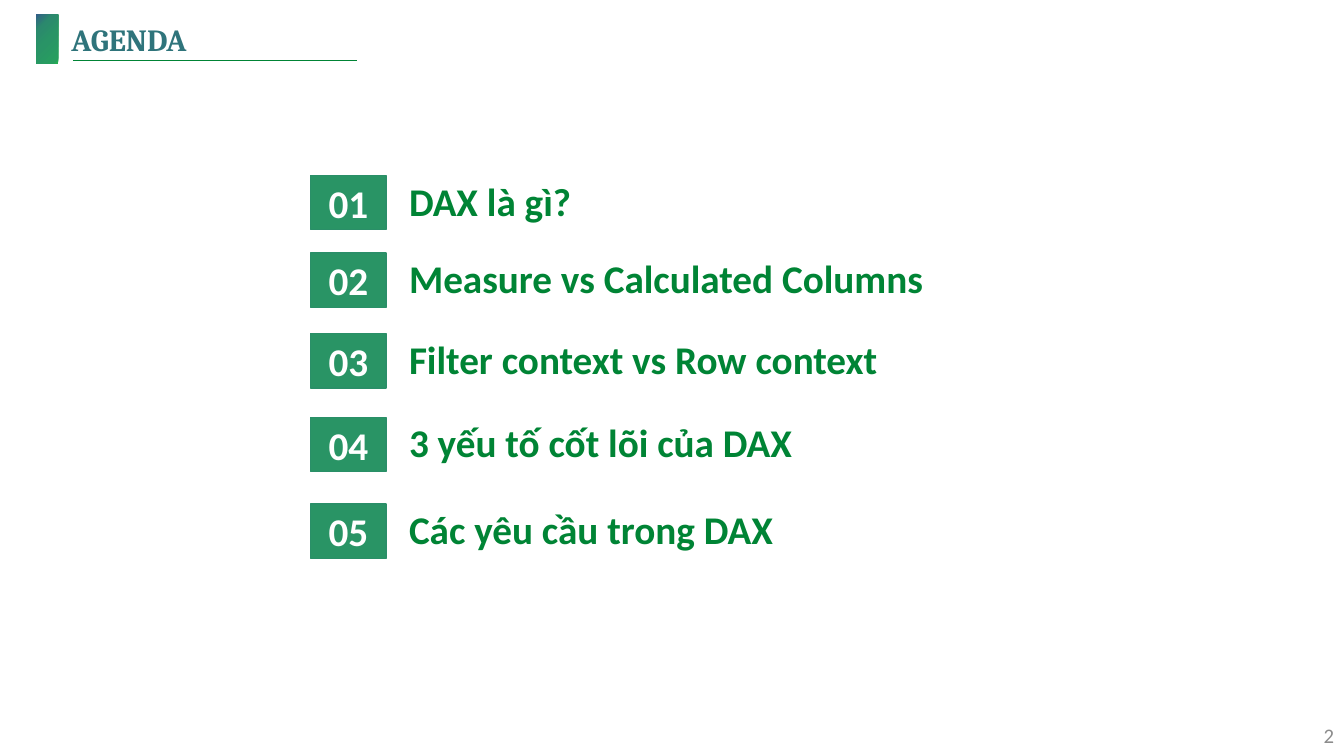
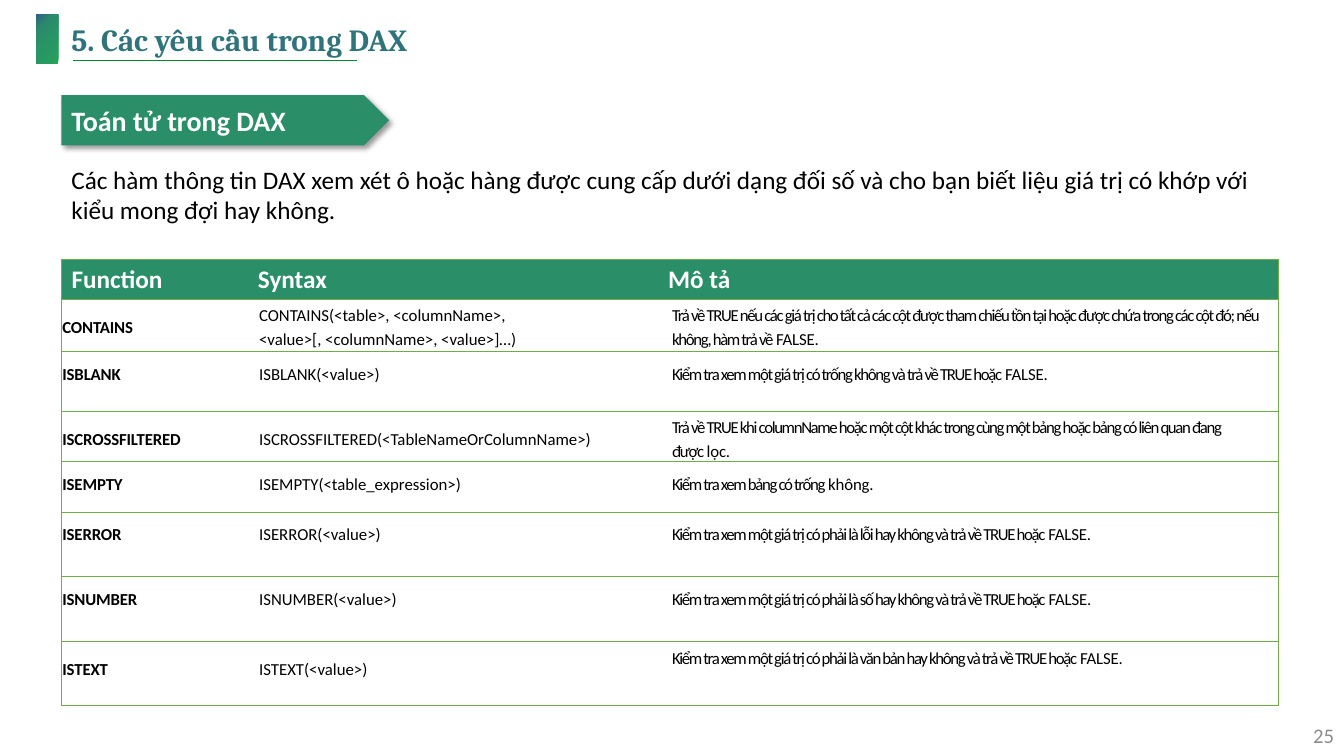
"""Build the agenda slide and the DAX information functions slide."""
from typing import NamedTuple

from pptx import Presentation
from pptx.dml.color import RGBColor
from pptx.enum.shapes import MSO_CONNECTOR, MSO_SHAPE
from pptx.enum.text import MSO_ANCHOR, PP_ALIGN
from pptx.oxml import parse_xml
from pptx.oxml.ns import nsdecls, qn
from pptx.util import Pt

GREEN = RGBColor(0x00, 0x84, 0x35)
TEAL = RGBColor(0x2A, 0x8F, 0x68)
BADGE = RGBColor(0x29, 0x94, 0x65)
BORDER = RGBColor(0x70, 0xAD, 0x47)
GRAY = RGBColor(0x8C, 0x8C, 0x8C)
BLACK = RGBColor(0x00, 0x00, 0x00)
WHITE = RGBColor(0xFF, 0xFF, 0xFF)

BAND_STOPS = [(0, "325E89"), (11, "2F747B"), (23, "2B896D"),
              (53, "299466"), (92, "279E5F"), (99, "23B350")]
TITLE_STOPS = [(0, "325E89"), (12, "2F747B"), (50, "299466"),
               (82, "279E5F"), (100, "23B350")]
CORNER_SHADE = '<a:path path="circle"><a:fillToRect r="100000" b="100000"/></a:path>'
LINEAR_SHADE = '<a:lin ang="0" scaled="0"/>'

TITLE = {"name": "Cambria", "size": Pt(22), "bold": True}
PAGE_NUMBER = {"name": "Calibri", "size": Pt(14.8), "color": GRAY}
BADGE_TEXT = {"name": "Calibri", "size": Pt(28), "bold": True, "color": WHITE}
AGENDA_TEXT = BADGE_TEXT | {"color": GREEN}
BANNER_TEXT = BADGE_TEXT | {"size": Pt(20)}
HEADER_TEXT = BADGE_TEXT | {"size": Pt(18)}
BODY_TEXT = {"name": "Calibri", "size": Pt(18), "color": BLACK}
CELL_TEXT = BODY_TEXT | {"size": Pt(12)}
NAME_TEXT = CELL_TEXT | {"bold": True}

AGENDA = [(125.3, "DAX là gì?"),
          (180.7, "Measure vs Calculated Columns"),
          (238.3, "Filter context vs Row context"),
          (298.1, "3 yếu tố cốt lõi của DAX"),
          (360, "Các yêu cầu trong DAX")]

INTRODUCTION = ("Các hàm thông tin DAX xem xét ô hoặc hàng được cung cấp dưới dạng đối số "
                "và cho bạn biết liệu giá trị có khớp với kiểu mong đợi hay không.")


class FunctionRow(NamedTuple):
    """Hold one function with its row height and cell insets in points."""
    height: float
    name: str
    syntax: str
    description: str
    insets: tuple = (9.2, 9.2, 9.2)
    right_inset: float = 0
    line_spacing: float = 1.0


HEADERS = ("Function", "Syntax", "Mô tả")
HEADER_HEIGHT = 25.2
COLUMN_WIDTHS = (133.2, 293, 442.8)
LEFT_INSETS = (0.7, 8, 10)
FUNCTIONS = [
    FunctionRow(37.4, "CONTAINS",
                "CONTAINS(<table>, <columnName>,\n<value>[, <columnName>, <value>]…)",
                "Trả về TRUE nếu các giá trị cho tất cả các cột được tham chiếu tồn tại hoặc "
                "được chứa trong các cột đó; nếu không, hàm trả về FALSE.",
                (13, 4.3, 1.4), 10, 1.2),
    FunctionRow(42.5, "ISBLANK", "ISBLANK(<value>)",
                "Kiểm tra xem một giá trị có trống không và trả về TRUE hoặc FALSE."),
    FunctionRow(31.7, "ISCROSSFILTERED", "ISCROSSFILTERED(<TableNameOrColumnName>)",
                "Trả về TRUE khi columnName hoặc một cột khác trong cùng một bảng hoặc bảng "
                "có liên quan đang được lọc.",
                (13, 13, 1.4), 40, 1.2),
    FunctionRow(36, "ISEMPTY", "ISEMPTY(<table_expression>)",
                "Kiểm tra xem bảng có trống không."),
    FunctionRow(46.1, "ISERROR", "ISERROR(<value>)",
                "Kiểm tra xem một giá trị có phải là lỗi hay không và trả về TRUE hoặc FALSE."),
    FunctionRow(46.1, "ISNUMBER", "ISNUMBER(<value>)",
                "Kiểm tra xem một giá trị có phải là số hay không và trả về TRUE hoặc FALSE."),
    FunctionRow(46.1, "ISTEXT", "ISTEXT(<value>)",
                "Kiểm tra xem một giá trị có phải là văn bản hay không và trả về TRUE hoặc FALSE.",
                (13, 13, 2.2), 0, 1.2),
]


def add_span(para, text, style, spacing=0):
    """Append a formatted run, with letter spacing in points."""
    span = para.add_run()
    span.text = text
    for key, value in style.items():
        if key == "color":
            span.font.color.rgb = value
        else:
            setattr(span.font, key, value)
    if spacing:
        span._r.get_or_add_rPr().set("spc", str(round(spacing * 100)))
    return span


def paint_gradient(fill, properties, stops, shade):
    """Fill with gradient stops and the given shade element."""
    fill.gradient()
    marks = "".join(f'<a:gs pos="{position * 1000}"><a:srgbClr val="{color}"/></a:gs>'
                    for position, color in stops)
    gradient = parse_xml(f'<a:gradFill {nsdecls("a")}><a:gsLst>{marks}</a:gsLst>'
                         f'{shade}</a:gradFill>')
    properties.replace(properties.find(qn("a:gradFill")), gradient)


def add_label(page, bounds, text, style, wrap=True, anchor=MSO_ANCHOR.TOP,
              align=PP_ALIGN.LEFT):
    """Add a one-paragraph text box and return its run and paragraph."""
    frame = page.shapes.add_textbox(*map(Pt, bounds)).text_frame
    frame.word_wrap = wrap
    frame.vertical_anchor = anchor
    para = frame.paragraphs[0]
    para.alignment = align
    return add_span(para, text, style), para


def add_block(page, kind, bounds, color=None, text="", style=None, align=PP_ALIGN.CENTER):
    """Add a flat preset shape without a line, with optional text."""
    block = page.shapes.add_shape(kind, *map(Pt, bounds))
    block.shadow.inherit = False
    block.line.fill.background()
    if color is not None:
        block.fill.solid()
        block.fill.fore_color.rgb = color
    if text:
        block.text_frame.vertical_anchor = MSO_ANCHOR.MIDDLE
        para = block.text_frame.paragraphs[0]
        para.alignment = align
        add_span(para, text, style)
    return block


def add_page(deck, title, number):
    """Add a blank slide with the shared rule, band, title and page number."""
    page = deck.slides.add_slide(deck.slide_layouts[6])
    rule = page.shapes.add_connector(MSO_CONNECTOR.STRAIGHT, Pt(52), Pt(43.2), Pt(255), Pt(43.2))
    rule.line.color.rgb = GREEN
    rule.line.width = Pt(1)
    rule._element.spPr.append(parse_xml(f'<a:effectLst {nsdecls("a")}/>'))
    band = add_block(page, MSO_SHAPE.RECTANGLE, (26, 10.4, 15.5, 35))
    paint_gradient(band.fill, band._element.spPr, BAND_STOPS, CORNER_SHADE)
    add_label(page, (744, 511, 216, 28.8), str(number), PAGE_NUMBER,
              anchor=MSO_ANCHOR.MIDDLE, align=PP_ALIGN.RIGHT)
    span, para = add_label(page, (43.9, 5, 805.7, 49.7), title, TITLE, anchor=MSO_ANCHOR.MIDDLE)
    para.line_spacing = 0.9
    paint_gradient(span.font.fill, span._r.get_or_add_rPr(), TITLE_STOPS, LINEAR_SHADE)
    return page


def add_agenda_item(page, top, number, text):
    """Add a numbered badge and its topic."""
    badge = add_block(page, MSO_SHAPE.RECTANGLE, (221.8, top, 54, 38.9), BADGE,
                      f"{number:02}", BADGE_TEXT)
    badge.line.color.rgb = TEAL
    badge.line.width = Pt(1)
    add_label(page, (285.1, top - 2.5, 390, 41), text, AGENDA_TEXT, wrap=False)


def add_banner(page, text):
    """Add the section arrow with a soft shadow."""
    banner = add_block(page, MSO_SHAPE.PENTAGON, (43.9, 67.9, 234, 36), TEAL,
                       text, BANNER_TEXT, PP_ALIGN.LEFT)
    banner._element.spPr.find(qn("a:effectLst")).append(parse_xml(
        f'<a:outerShdw {nsdecls("a")} blurRad="{Pt(4)}" dist="{Pt(3)}" dir="2700000" '
        'algn="tl" rotWithShape="0"><a:srgbClr val="000000"><a:alpha val="40000"/>'
        '</a:srgbClr></a:outerShdw>'))


def set_borders(cell, column):
    """Draw horizontal rules and the outer sides of the table."""
    shown = {"L": column == 0, "R": column == len(HEADERS) - 1, "T": True, "B": True}
    line_fill = f'<a:solidFill><a:srgbClr val="{BORDER}"/></a:solidFill>'
    properties = cell._tc.get_or_add_tcPr()
    for index, (side, visible) in enumerate(shown.items()):
        properties.insert(index, parse_xml(
            f'<a:ln{side} {nsdecls("a")} w="{Pt(0.5)}">'
            f'{line_fill if visible else "<a:noFill/>"}</a:ln{side}>'))


def fill_cell(cell, column, row):
    """Write one body cell of a function row."""
    cell.fill.background()
    margins = {"margin_left": LEFT_INSETS[column], "margin_top": row.insets[column],
               "margin_right": row.right_inset if column == 2 else 0, "margin_bottom": 0}
    for key, value in margins.items():
        setattr(cell, key, Pt(value))
    para = cell.text_frame.paragraphs[0]
    if column == 0:
        add_span(para, row.name, NAME_TEXT, -0.1)
    elif column == 1:
        first, *others = row.syntax.split("\n")
        add_span(para, first, CELL_TEXT)
        for line in others:
            para = cell.text_frame.add_paragraph()
            para.space_before = Pt(2.9)
            add_span(para, line, CELL_TEXT)
    else:
        para.line_spacing = row.line_spacing
        opening, _, last_word = row.description.rpartition(" ")
        add_span(para, opening + " ", CELL_TEXT, -0.95)
        add_span(para, last_word, CELL_TEXT, -0.1)


def add_function_table(page):
    """Add the table of functions, syntax and descriptions."""
    heights = [HEADER_HEIGHT] + [row.height for row in FUNCTIONS]
    bounds = (43.9, 185, sum(COLUMN_WIDTHS), sum(heights))
    table = page.shapes.add_table(len(heights), len(HEADERS), *map(Pt, bounds)).table
    for column, width in zip(table.columns, COLUMN_WIDTHS):
        column.width = Pt(width)
    for line, height in zip(table.rows, heights):
        line.height = Pt(height)
    for column, header in enumerate(HEADERS):
        cell = table.cell(0, column)
        cell.fill.solid()
        cell.fill.fore_color.rgb = TEAL
        add_span(cell.text_frame.paragraphs[0], header, HEADER_TEXT)
        set_borders(cell, column)
        for index, row in enumerate(FUNCTIONS, 1):
            cell = table.cell(index, column)
            fill_cell(cell, column, row)
            set_borders(cell, column)


def main():
    """Build both slides and save the deck."""
    deck = Presentation()
    deck.slide_width, deck.slide_height = Pt(960), Pt(540)
    page = add_page(deck, "AGENDA", 2)
    for number, (top, text) in enumerate(AGENDA, 1):
        add_agenda_item(page, top, number, text)
    page = add_page(deck, "5. Các yêu cầu trong DAX", 25)
    add_banner(page, "Toán tử trong DAX")
    add_label(page, (43.9, 113.8, 875.5, 51), INTRODUCTION, BODY_TEXT)
    add_function_table(page)
    deck.save("out.pptx")


if __name__ == "__main__":
    main()
